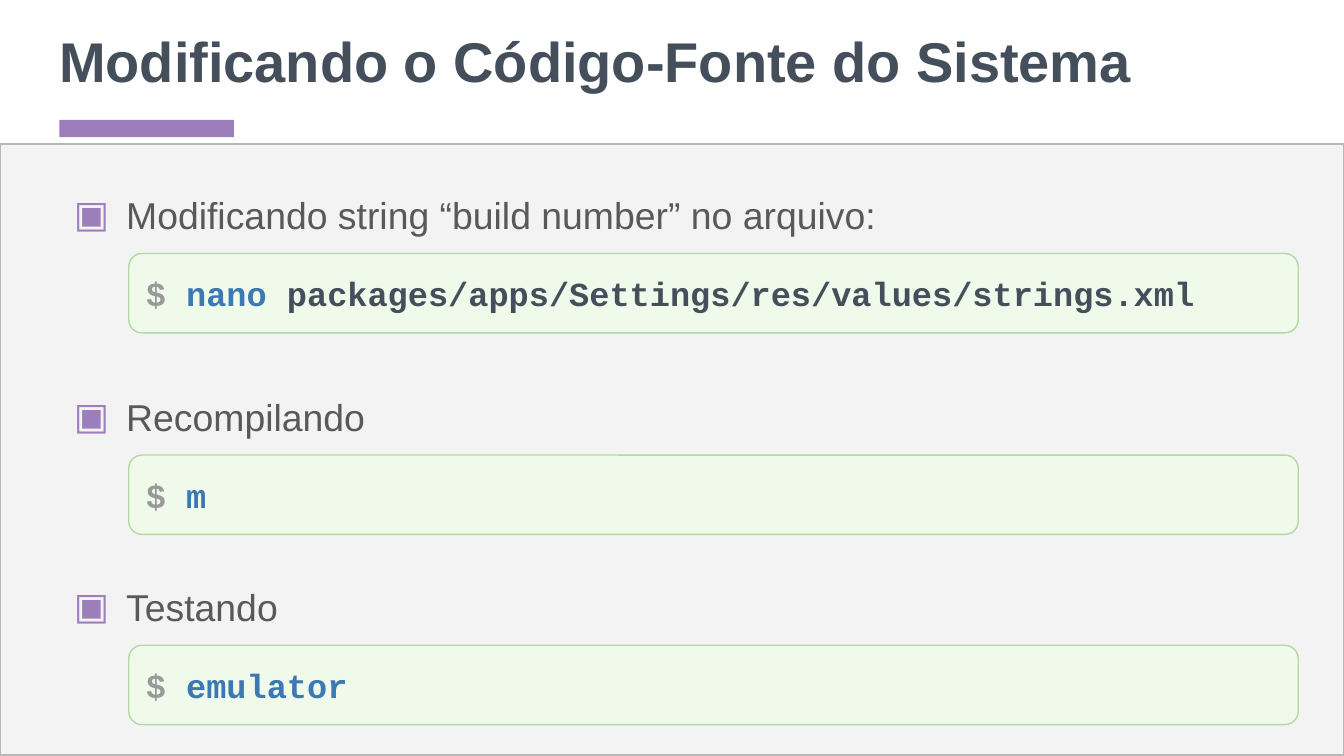
from pptx import Presentation
from pptx.dml.color import RGBColor
from pptx.enum.shapes import MSO_SHAPE as Shape
from pptx.enum.text import MSO_ANCHOR as Anchor, MSO_AUTO_SIZE as AutoSize, PP_ALIGN as Align
from pptx.oxml import parse_xml
from pptx.oxml.ns import nsdecls
from pptx.util import Pt

COLORS = {
    "accent": "9C7FBA", "dark": "454F5B", "body": "595959",
    "panel": "F3F3F3", "panel_line": "B7B7B7",
    "code": "EFFAEB", "code_line": "B3D8A4",
    "prompt": "999999", "command": "3C78B4",
}
FRAME = {"word_wrap": True, "auto_size": AutoSize.NONE, "margin_left": Pt(7.2),
         "margin_right": Pt(7.2), "margin_top": Pt(7.2), "margin_bottom": Pt(7.2)}
SECTIONS = [
    (92.2, "Modificando string “build number” no arquivo:",
     [("$", "prompt"), (" nano ", "command"),
      ("packages/apps/Settings/res/values/strings.xml", "dark")]),
    (200.2, "Recompilando", [("$", "prompt"), (" m", "command")]),
    (302.1, "Testando", [("$", "prompt"), (" emulator", "command")]),
]


def add_block(kind, left, top, width, height, fill, line=None, weight=0):
    block = page.shapes.add_shape(kind, Pt(left), Pt(top), Pt(width), Pt(height))
    block.shadow.inherit = False
    block.fill.solid()
    block.fill.fore_color.rgb = RGBColor.from_string(COLORS[fill])
    if line:
        block.line.color.rgb = RGBColor.from_string(COLORS[line])
        block.line.width = Pt(weight)
    else:
        block.line.fill.background()
    return block


def write(box, spans, font, size, bold, anchor):
    """Fill the box with one left-aligned paragraph of coloured spans."""
    frame = box.text_frame
    for name, value in {**FRAME, "vertical_anchor": anchor}.items():
        setattr(frame, name, value)
    para = frame.paragraphs[0]
    para.alignment = Align.LEFT
    for text, color in spans:
        span = para.add_run()
        span.text = text
        for name, value in {"name": font, "size": Pt(size), "bold": bold}.items():
            setattr(span.font, name, value)
        span.font.color.rgb = RGBColor.from_string(COLORS[color])
    return para


deck = Presentation()
deck.slide_width, deck.slide_height = Pt(720), Pt(405)
page = deck.slides.add_slide(deck.slide_layouts[5])

title = page.shapes.title
title.left, title.top, title.width, title.height = Pt(24.5), Pt(0), Pt(671), Pt(64)
write(title, [("Modificando o Código-Fonte do Sistema", "dark")],
      "Arial", 30, True, Anchor.MIDDLE)

add_block(Shape.RECTANGLE, 31.8, 64.2, 93.6, 9.3, "accent")
add_block(Shape.RECTANGLE, 0, 77.2, 720, 327.8, "panel", "panel_line", 1.44)

for top, heading, code in SECTIONS:
    code_box = add_block(Shape.ROUNDED_RECTANGLE, 69, top + 43.6, 626.5, 42.5,
                         "code", "code_line", 0.75)
    write(code_box, code, "Courier New", 18, True, Anchor.MIDDLE)

    label = page.shapes.add_textbox(Pt(24.5), Pt(top), Pt(671), Pt(42.5))
    para = write(label, [(heading, "body")], "Arial", 20, False, Anchor.TOP)
    para.line_spacing = 1.15
    props = para._p.get_or_add_pPr()
    props.set("marL", str(Pt(36)))
    props.set("indent", str(Pt(-28)))
    for bullet in (f'<a:buClr {nsdecls("a")}><a:srgbClr val="{COLORS["accent"]}"/></a:buClr>',
                   f'<a:buFont {nsdecls("a")} typeface="Arial"/>',
                   f'<a:buChar {nsdecls("a")} char="▣"/>'):
        props.append(parse_xml(bullet))

deck.save("out.pptx")
